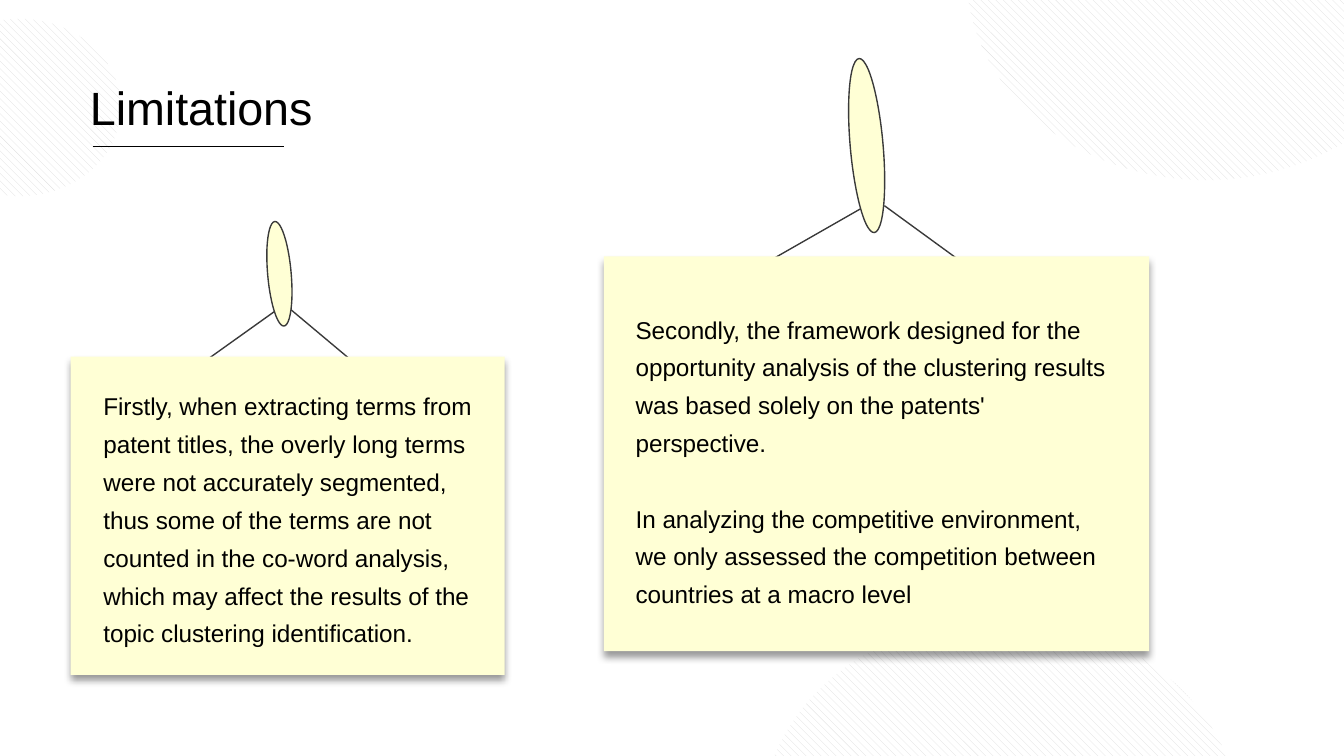
from lxml.etree import SubElement
from pptx import Presentation
from pptx.dml.color import RGBColor as Rgb
from pptx.enum.dml import MSO_PATTERN as Pattern
from pptx.enum.shapes import MSO_CONNECTOR as Connector, MSO_SHAPE as Shape
from pptx.enum.text import MSO_ANCHOR as Anchor, MSO_AUTO_SIZE as AutoSize, PP_ALIGN as Align
from pptx.oxml.ns import qn
from pptx.util import Pt


class Theme:
    font = "Arial"
    ink = Rgb.from_string("000000")
    outline = Rgb.from_string("3A3A3A")
    note = Rgb.from_string("FFFFD5")
    hatch = Rgb.from_string("DDDDDD")
    paper = Rgb.from_string("FFFFFF")
    title_size = Pt(25)
    body_size = Pt(13)


def add_line(shapes, start, end, color, width):
    line = shapes.add_connector(Connector.STRAIGHT, *map(Pt, start + end))
    line.line.color.rgb = color
    line.line.width = Pt(width)
    SubElement(line.element.spPr, qn("a:effectLst"))


def add_run(paragraph, text, size):
    run = paragraph.add_run()
    run.text = text
    run.font.name = Theme.font
    run.font.size = size
    run.font.color.rgb = Theme.ink


presentation = Presentation()
presentation.slide_width, presentation.slide_height = Pt(720), Pt(405)
slide = presentation.slides.add_slide(presentation.slide_layouts[5])
slide.background.fill.solid()
slide.background.fill.fore_color.rgb = Theme.paper

# Hatched circles running off the edges
circles = [
    (407.5, 331.2, 257, 221.8),
    (-43.9, 10.1, 108.7, 95),
    (517.7, -125.3, 257, 221.8),
]
for box in circles:
    circle = slide.shapes.add_shape(Shape.OVAL, *map(Pt, box))
    circle.shadow.inherit = False
    circle.fill.patterned()
    circle.fill.pattern = Pattern.WIDE_DOWNWARD_DIAGONAL
    circle.fill.fore_color.rgb = Theme.hatch
    circle.fill.back_color.rgb = Theme.paper
    circle.line.fill.background()

# Hanging notes: strings, peg, card and text
notes = [
    {
        "strings": [((111.6, 192.2), (146.9, 167)), ((155.5, 165.6), (187.2, 192.2))],
        "peg": (143.4, 118.6, 12.6, 56.2),
        "card": (37.9, 191.1, 232.4, 170.5),
        "text": (50.4, 202.3, 211.7, 149),
        "paragraphs": [
            "Firstly, when extracting terms from patent titles, the overly long terms "
            "were not accurately segmented, thus some of the terms are not counted in "
            "the co-word analysis, which may affect the results of the topic "
            "clustering identification.",
        ],
    },
    {
        "strings": [((411.1, 140.4), (461.5, 111.6)), ((473.8, 110.2), (516.2, 141.1))],
        "peg": (455.5, 31.2, 17.6, 93.6),
        "card": (323.5, 137.3, 292.2, 211.5),
        "text": (335.5, 161.3, 267.8, 169.2),
        "paragraphs": [
            "Secondly, the framework designed for the opportunity analysis of the "
            "clustering results was based solely on the patents' perspective.",
            "In analyzing the competitive environment, we only assessed the "
            "competition between countries at a macro level",
        ],
    },
]
for note in notes:
    group = slide.shapes.add_group_shape()
    for start, end in note["strings"]:
        add_line(group.shapes, start, end, Theme.outline, 0.75)

    peg = group.shapes.add_shape(Shape.OVAL, *map(Pt, note["peg"]))
    peg.rotation = 355
    peg.line.color.rgb = Theme.outline
    peg.line.width = Pt(0.75)
    card = group.shapes.add_shape(Shape.RECTANGLE, *map(Pt, note["card"]))
    card.line.fill.background()
    for shape in (peg, card):
        shape.shadow.inherit = False
        shape.fill.solid()
        shape.fill.fore_color.rgb = Theme.note

    # Soft shadow straight below the card
    effects = card.element.spPr.find(qn("a:effectLst"))
    shadow = SubElement(effects, qn("a:outerShdw"), blurRad=str(Pt(4)), dist=str(Pt(3)),
                        dir="5400000", algn="t", rotWithShape="0")
    color = SubElement(shadow, qn("a:srgbClr"), val=str(Theme.ink))
    SubElement(color, qn("a:alpha"), val="40000")

    frame = slide.shapes.add_textbox(*map(Pt, note["text"])).text_frame
    frame.word_wrap = True
    frame.auto_size = AutoSize.SHAPE_TO_FIT_TEXT
    frame.margin_left = frame.margin_right = Pt(5)
    frame.margin_top = frame.margin_bottom = Pt(2.7)
    for index, text in enumerate(note["paragraphs"]):
        paragraph = frame.add_paragraph() if index else frame.paragraphs[0]
        paragraph.line_spacing = 1.3
        paragraph.space_before = Pt(20 if index else 0)
        add_run(paragraph, text, Theme.body_size)

# Title in front of the circles, with its rule
title = slide.shapes.title
title.element.getparent().append(title.element)
title.left, title.top, title.width, title.height = map(Pt, (41, 38.9, 139, 37.4))
frame = title.text_frame
frame.word_wrap = True
frame.auto_size = AutoSize.SHAPE_TO_FIT_TEXT
frame.vertical_anchor = Anchor.TOP
frame.paragraphs[0].alignment = Align.LEFT
add_run(frame.paragraphs[0], "Limitations", Theme.title_size)
add_line(slide.shapes, (49.7, 78.5), (151.9, 78.5), Theme.ink, 1)

presentation.save("out.pptx")
